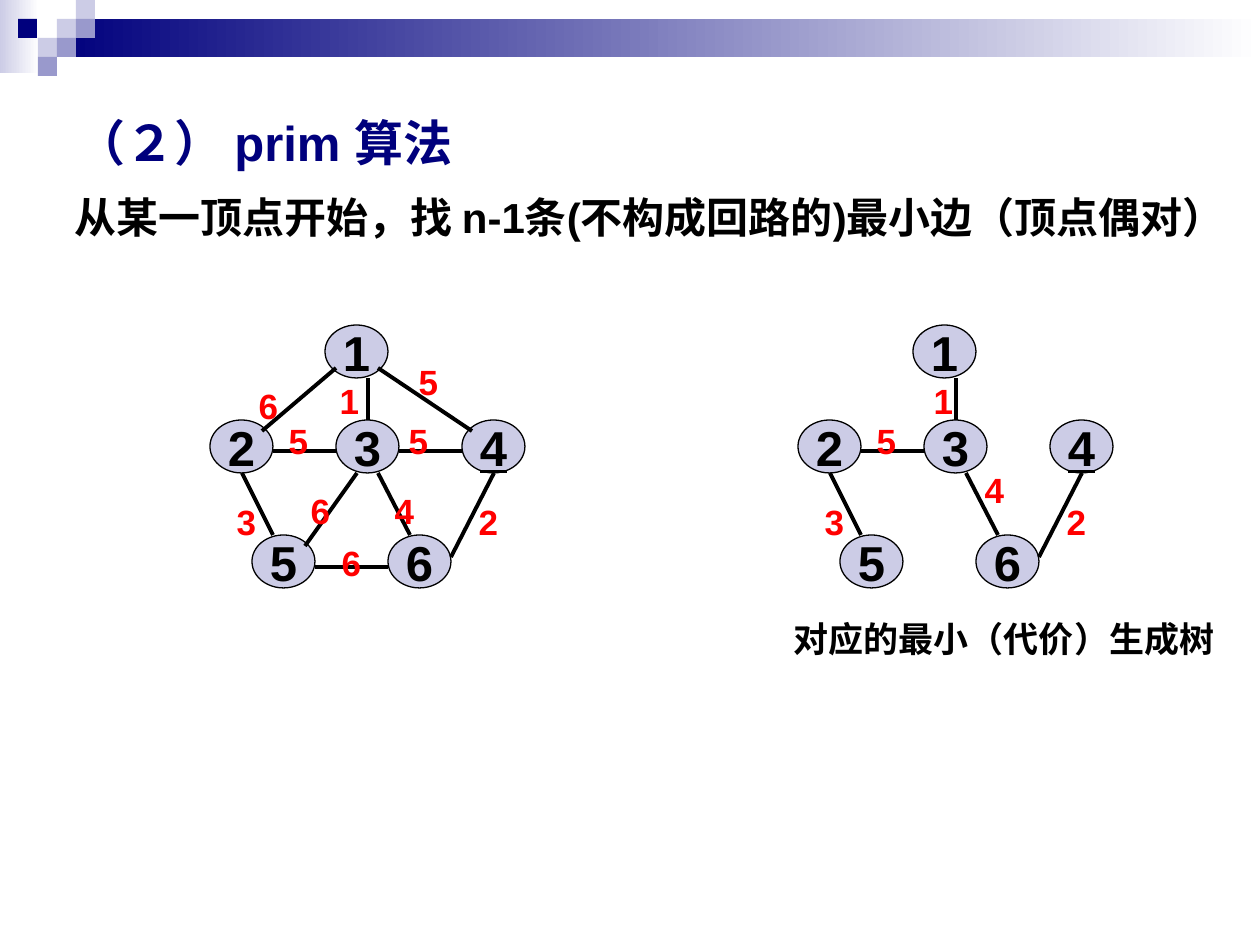
"""Build the slide on Prim's algorithm: a weighted graph beside its minimum spanning tree."""
from dataclasses import dataclass

from lxml.etree import SubElement
from pptx import Presentation
from pptx.dml.color import RGBColor
from pptx.enum.shapes import MSO_CONNECTOR as Connector, MSO_SHAPE as Shape
from pptx.enum.text import MSO_ANCHOR as Anchor, MSO_AUTO_SIZE as AutoSize, PP_ALIGN as Align
from pptx.oxml.ns import qn
from pptx.util import Emu, Pt


@dataclass(frozen=True)
class Theme:
    """Colours, font and type sizes in points."""
    navy: str = "00007D"
    lilac: str = "CCCCE6"
    violet: str = "9999CC"
    white: str = "FFFFFF"
    black: str = "000000"
    red: str = "FF0000"
    font: str = "Arial"
    heading: int = 28
    body: int = 24
    label: int = 20
    outline: float = 0.75
    edge: float = 2.25


THEME = Theme()
EMU_PER_PX = 914400 / 126
SLIDE_SIZE = (1260, 945)

TITLE = ("（２） prim 算法", (64, 106, 496, 72))
INTRO = ("从某一顶点开始，找 n-1条(不构成回路的)最小边（顶点偶对）", (32, 185, 1228, 113))
CAPTION = ("对应的最小（代价）生成树", (748, 611, 512, 55))

BANDS = [
    ((0, 0, 39, 73), THEME.lilac),
    ((57, 19, 1203, 38), THEME.navy),
]
TILE = 19
TILES = [
    (57, 19, THEME.lilac),
    (76, 0, THEME.lilac),
    (76, 19, THEME.violet),
    (38, 38, THEME.lilac),
    (18, 19, THEME.navy),
    (57, 38, THEME.violet),
    (38, 57, THEME.violet),
]

NODE_SIZE = (63, 53)
NODES = {"1": (325, 325), "2": (210, 420), "3": (336, 420),
         "4": (462, 420), "5": (252, 535), "6": (388, 535)}
UNDERLINED = "4"

LABEL_SIZE = (53, 55)
EDGES = {
    "2-3": ((273, 451), (336, 451), "5", (272, 413)),
    "3-4": ((399, 451), (462, 451), "5", (392, 413)),
    "1-3": ((368, 378), (368, 420), "1", (323, 373)),
    "2-5": ((242, 473), (273, 535), "3", (220, 494)),
    "3-5": ((305, 546), (357, 473), "6", (294, 483)),
    "3-6": ((378, 473), (410, 535), "4", (378, 483)),
    "4-6": ((451, 557), (494, 473), "2", (462, 494)),
    "5-6": ((315, 567), (388, 567), "6", (325, 535)),
    "1-2": ((262, 431), (336, 368), "6", (242, 378)),
    "1-4": ((472, 431), (378, 368), "5", (402, 354)),
}
TREE_OFFSET = 588
TREE_EDGES = ["2-3", "1-3", "2-5", "3-6", "4-6"]
TREE_LABELS = {"1-3": (329, 373), "3-6": (380, 462)}


def px(length):
    return Emu(round(length * EMU_PER_PX))


def colour(code):
    return RGBColor.from_string(code)


def write(frame, text, size=THEME.label, ink=THEME.black, align=Align.LEFT,
          anchor=Anchor.TOP, wrap=True, underline=None, indent=0):
    frame.word_wrap = wrap
    frame.auto_size = AutoSize.NONE
    frame.vertical_anchor = anchor
    para = frame.paragraphs[0]
    para.alignment = align
    if indent:
        para._p.get_or_add_pPr().set("indent", str(px(indent)))
    span = para.add_run()
    span.text = text
    font = span.font
    font.name, font.size, font.bold = THEME.font, Pt(size), True
    font.underline = underline
    font.color.rgb = colour(ink)


def add_text(page, text, bounds, **style):
    box = page.shapes.add_textbox(*map(px, bounds))
    write(box.text_frame, text, **style)


def add_block(page, kind, bounds, fill, fade=False, outline=False):
    block = page.shapes.add_shape(kind, *map(px, bounds))
    block.shadow.inherit = False
    if fade:
        block.fill.gradient()
        block.fill.gradient_angle = 0
        for stop, code in zip(block.fill.gradient_stops, (fill, THEME.white)):
            stop.color.rgb = colour(code)
    else:
        block.fill.solid()
        block.fill.fore_color.rgb = colour(fill)
    if outline:
        block.line.color.rgb = colour(THEME.black)
        block.line.width = Pt(THEME.outline)
    else:
        block.line.fill.background()
    return block


def add_edge(page, start, end):
    edge = page.shapes.add_connector(Connector.STRAIGHT, *map(px, start + end))
    edge.line.color.rgb = colour(THEME.black)
    edge.line.width = Pt(THEME.edge)
    SubElement(edge._element.spPr, qn("a:effectLst"))


def add_graph(page, edge_names, offset=0, moved_labels=None):
    def shift(point):
        return point[0] + offset, point[1]

    for name, corner in NODES.items():
        node = add_block(page, Shape.OVAL, shift(corner) + NODE_SIZE, THEME.lilac, outline=True)
        write(node.text_frame, name, size=THEME.heading, align=Align.CENTER,
              anchor=Anchor.MIDDLE, wrap=False, underline=name == UNDERLINED)
    for name in edge_names:
        start, end, _, _ = EDGES[name]
        add_edge(page, shift(start), shift(end))
    for name in edge_names:
        _, _, weight, corner = EDGES[name]
        corner = (moved_labels or {}).get(name, corner)
        add_text(page, weight, shift(corner) + LABEL_SIZE, ink=THEME.red, align=Align.CENTER)


def main():
    deck = Presentation()
    deck.slide_width, deck.slide_height = map(px, SLIDE_SIZE)
    page = deck.slides.add_slide(deck.slide_layouts[5])

    for bounds, fill in BANDS:
        add_block(page, Shape.RECTANGLE, bounds, fill, fade=True)
    for left, top, fill in TILES:
        add_block(page, Shape.RECTANGLE, (left, top, TILE, TILE), fill)

    heading, bounds = TITLE
    title = page.shapes.title
    title.left, title.top, title.width, title.height = map(px, bounds)
    write(title.text_frame, heading, size=THEME.heading, ink=THEME.navy)

    add_text(page, *INTRO, size=THEME.body, indent=30)
    add_graph(page, EDGES)
    add_graph(page, TREE_EDGES, TREE_OFFSET, TREE_LABELS)
    add_text(page, *CAPTION, align=Align.CENTER)
    deck.save("out.pptx")


if __name__ == "__main__":
    main()
